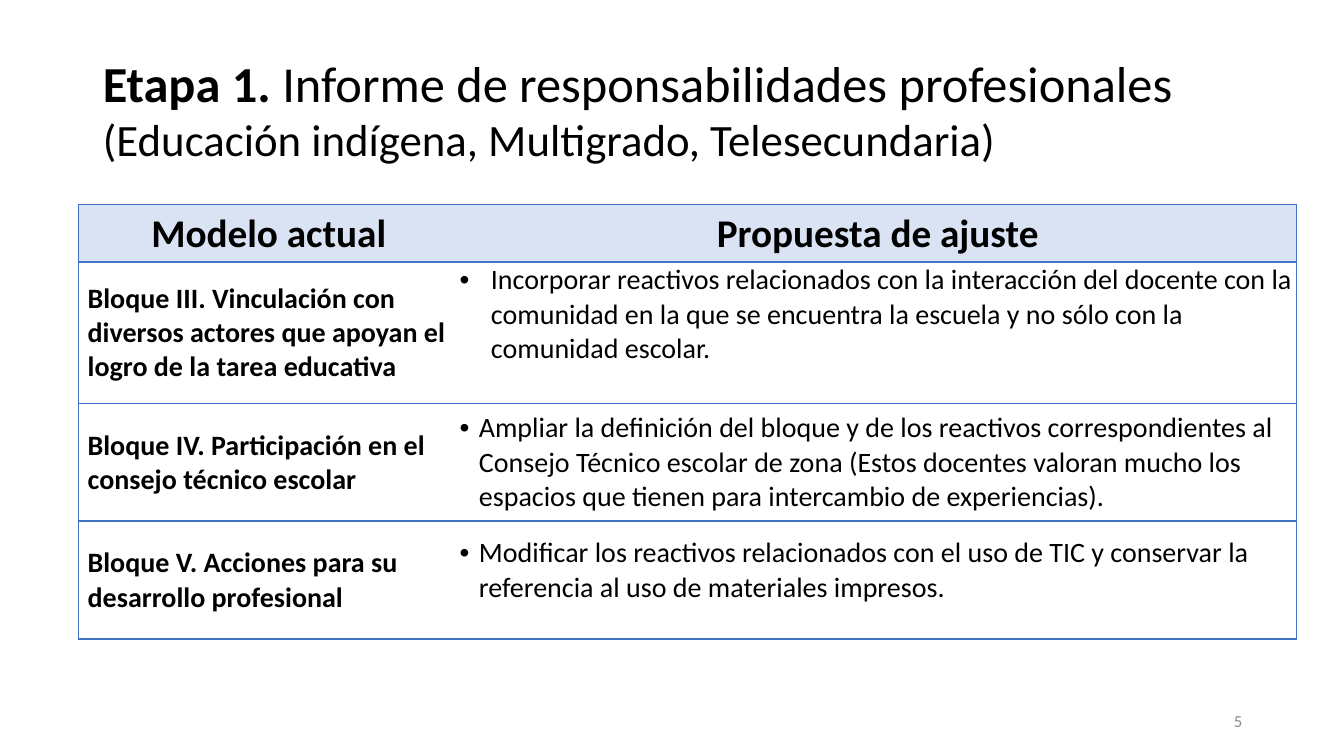
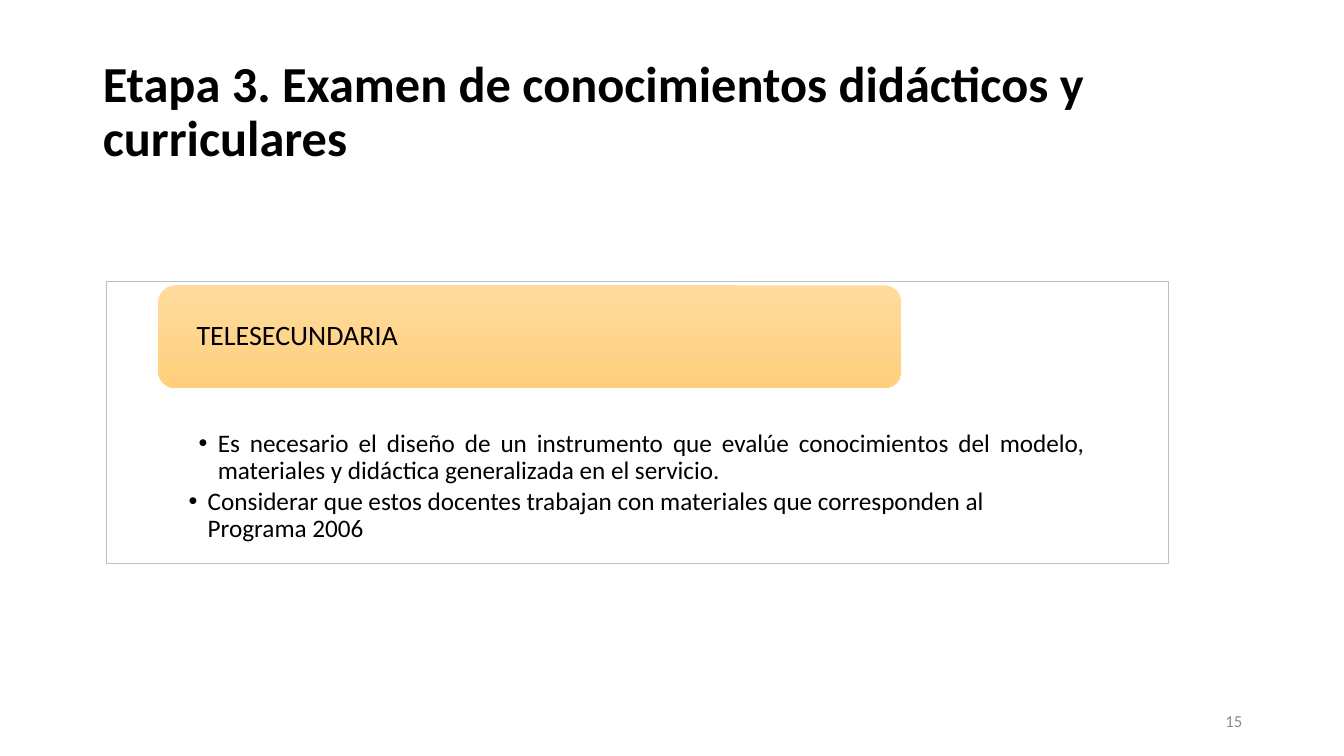
from lxml.etree import SubElement
from pptx import Presentation
from pptx.dml.color import RGBColor
from pptx.enum.shapes import MSO_SHAPE
from pptx.enum.text import MSO_ANCHOR as ANCHOR, MSO_AUTO_SIZE as AUTO_SIZE, PP_ALIGN as ALIGN
from pptx.oxml.ns import qn
from pptx.util import Emu, Pt

EMU_PER_PX = 9144
FONT = "Calibri"
COLORS = {
    "text": "000000",
    "number": "8C8C8C",
    "header": "DAE3F3",
    "paper": "FFFFFF",
    "border": "4472C4",
    "frame": "BFBFBF",
    "label_top": "FFDB9E",
    "label_bottom": "FFD07C",
}


def px(length):
    return Emu(length * EMU_PER_PX)


def color(name):
    return RGBColor.from_string(COLORS[name])


def place(shape, left, top, width, height):
    shape.left, shape.top, shape.width, shape.height = map(px, (left, top, width, height))


def set_frame(frame, anchor, insets=(10, 5, 10, 5)):
    frame.word_wrap = True
    frame.auto_size = AUTO_SIZE.NONE
    frame.vertical_anchor = anchor
    (frame.margin_left, frame.margin_top,
     frame.margin_right, frame.margin_bottom) = map(px, insets)


def add_run(paragraph, text, size, bold=False, fill="text"):
    run = paragraph.add_run()
    run.text = text
    run.font.name = FONT
    run.font.size = Pt(size)
    run.font.bold = bold
    run.font.color.rgb = color(fill)


def set_indent(paragraph, left, first=0, bullet=False):
    properties = paragraph._p.get_or_add_pPr()
    properties.set("marL", str(px(left)))
    properties.set("indent", str(px(first)))
    if bullet:
        SubElement(properties, qn("a:buFont"), typeface="Arial")
        SubElement(properties, qn("a:buChar"), char="•")


def add_title(slide, *lines):
    title = slide.shapes.title
    place(title, 92, 40, 1150, 145)
    set_frame(title.text_frame, ANCHOR.MIDDLE)
    paragraph = title.text_frame.paragraphs[0]
    paragraph.alignment = ALIGN.LEFT
    paragraph.line_spacing = 0.9
    for index, runs in enumerate(lines):
        if index:
            paragraph.add_line_break()
        for text, size, bold in runs:
            add_run(paragraph, text, size, bold)


def add_slide_number(slide, number):
    box = slide.shapes.add_textbox(px(942), px(695), px(300), px(40))
    set_frame(box.text_frame, ANCHOR.MIDDLE)
    paragraph = box.text_frame.paragraphs[0]
    paragraph.alignment = ALIGN.RIGHT
    add_run(paragraph, str(number), 12, fill="number")


def set_borders(cell, visible):
    properties = cell._tc.get_or_add_tcPr()
    for side in "LRTB":
        line = SubElement(properties, qn(f"a:ln{side}"), w=str(Pt(1)))
        if side in visible:
            fill = SubElement(line, qn("a:solidFill"))
            SubElement(fill, qn("a:srgbClr"), val=COLORS["border"])
        else:
            SubElement(line, qn("a:noFill"))


def format_cell(cell, borders, fill, anchor=ANCHOR.MIDDLE, bottom=0):
    set_borders(cell, borders)
    cell.fill.solid()
    cell.fill.fore_color.rgb = color(fill)
    cell.vertical_anchor = anchor
    cell.margin_left = cell.margin_top = cell.margin_right = px(1)
    cell.margin_bottom = px(bottom)
    return cell.text_frame.paragraphs[0]


def add_comparison_table(slide, headers, rows):
    widths = (377, 831)
    heights = (57, *(row[0] for row in rows))
    graphic = slide.shapes.add_table(len(heights), len(widths), px(78), px(203),
                                     px(sum(widths)), px(sum(heights)))
    table = graphic.table
    table.first_row = table.horz_banding = False
    for column, width in zip(table.columns, widths):
        column.width = px(width)
    for row, height in zip(table.rows, heights):
        row.height = px(height)
    for index, (header, borders) in enumerate(zip(headers, ("LTB", "RTB"))):
        paragraph = format_cell(table.cell(0, index), borders, "header")
        paragraph.alignment = ALIGN.CENTER
        add_run(paragraph, header, 28, True)
    for index, (_, block, proposal, indent, anchor, bottom) in enumerate(rows, 1):
        paragraph = format_cell(table.cell(index, 0), "LTB", "paper")
        set_indent(paragraph, 8)
        add_run(paragraph, block, 20, True)
        paragraph = format_cell(table.cell(index, 1), "RTB", "paper", anchor, bottom)
        set_indent(paragraph, indent, -indent, bullet=True)
        add_run(paragraph, proposal, 20)


def add_framed_list(slide, items):
    body = slide.placeholders[1]
    place(body, 105, 279, 1054, 280)
    body.fill.solid()
    body.fill.fore_color.rgb = color("paper")
    body.line.color.rgb = color("frame")
    body.line.width = Pt(0.5)
    frame = body.text_frame
    set_frame(frame, ANCHOR.TOP, (82, 148, 83, 14))
    for index, (text, left, alignment) in enumerate(items):
        paragraph = frame.add_paragraph() if index else frame.paragraphs[0]
        set_indent(paragraph, left, -19, bullet=True)
        paragraph.alignment = alignment
        paragraph.line_spacing = 0.9
        paragraph.space_before = Pt(0)
        paragraph.space_after = Pt(2.7)
        add_run(paragraph, text, 18)


def add_label(slide, text):
    label = slide.shapes.add_shape(MSO_SHAPE.ROUNDED_RECTANGLE,
                                   px(157), px(283), px(737), px(102))
    label.shadow.inherit = False
    label.line.fill.background()
    label.fill.gradient()
    label.fill.gradient_angle = 270
    for stop, name in zip(label.fill.gradient_stops, ("label_top", "label_bottom")):
        stop.color.rgb = color(name)
    set_frame(label.text_frame, ANCHOR.MIDDLE, (33, 0, 33, 0))
    paragraph = label.text_frame.paragraphs[0]
    paragraph.alignment = ALIGN.LEFT
    paragraph.line_spacing = 0.9
    add_run(paragraph, text, 20)


def build_report_slide(presentation):
    slide = presentation.slides.add_slide(presentation.slide_layouts[5])
    add_title(
        slide,
        [("Etapa 1. ", 36, True), ("Informe de responsabilidades profesionales", 36, False)],
        [("(Educación indígena, Multigrado, Telesecundaria)", 32, False), (" ", 36, False)],
    )
    add_comparison_table(slide, ("Modelo actual", "Propuesta de ajuste"), [
        (140, "Bloque III. Vinculación con diversos actores que apoyan el logro de la tarea educativa",
         "Incorporar reactivos relacionados con la interacción del docente con la comunidad "
         "en la que se encuentra la escuela y no sólo con la comunidad escolar.",
         31, ANCHOR.TOP, 0),
        (117, "Bloque IV. Participación en el consejo técnico escolar",
         "Ampliar la definición del bloque y de los reactivos correspondientes al Consejo "
         "Técnico escolar de zona (Estos docentes valoran mucho los espacios que tienen para "
         "intercambio de experiencias).",
         19, ANCHOR.MIDDLE, 0),
        (117, "Bloque V. Acciones para su desarrollo profesional",
         "Modificar los reactivos relacionados con el uso de TIC y conservar la referencia "
         "al uso de materiales impresos.",
         19, ANCHOR.BOTTOM, 34),
    ])
    add_slide_number(slide, 5)


def build_exam_slide(presentation):
    slide = presentation.slides.add_slide(presentation.slide_layouts[1])
    add_title(slide, [("Etapa 3. Examen de conocimientos didácticos y curriculares", 36, True)])
    add_framed_list(slide, [
        ("Es necesario el diseño de un instrumento que evalúe conocimientos del modelo, "
         "materiales y didáctica generalizada en el servicio.", 29, ALIGN.JUSTIFY),
        ("Considerar que estos docentes trabajan con materiales que corresponden al "
         "Programa 2006", 19, ALIGN.LEFT),
    ])
    add_label(slide, "TELESECUNDARIA")
    add_slide_number(slide, 15)


def main():
    presentation = Presentation()
    presentation.slide_width, presentation.slide_height = px(1333), px(750)
    build_report_slide(presentation)
    build_exam_slide(presentation)
    presentation.save("out.pptx")


if __name__ == "__main__":
    main()
